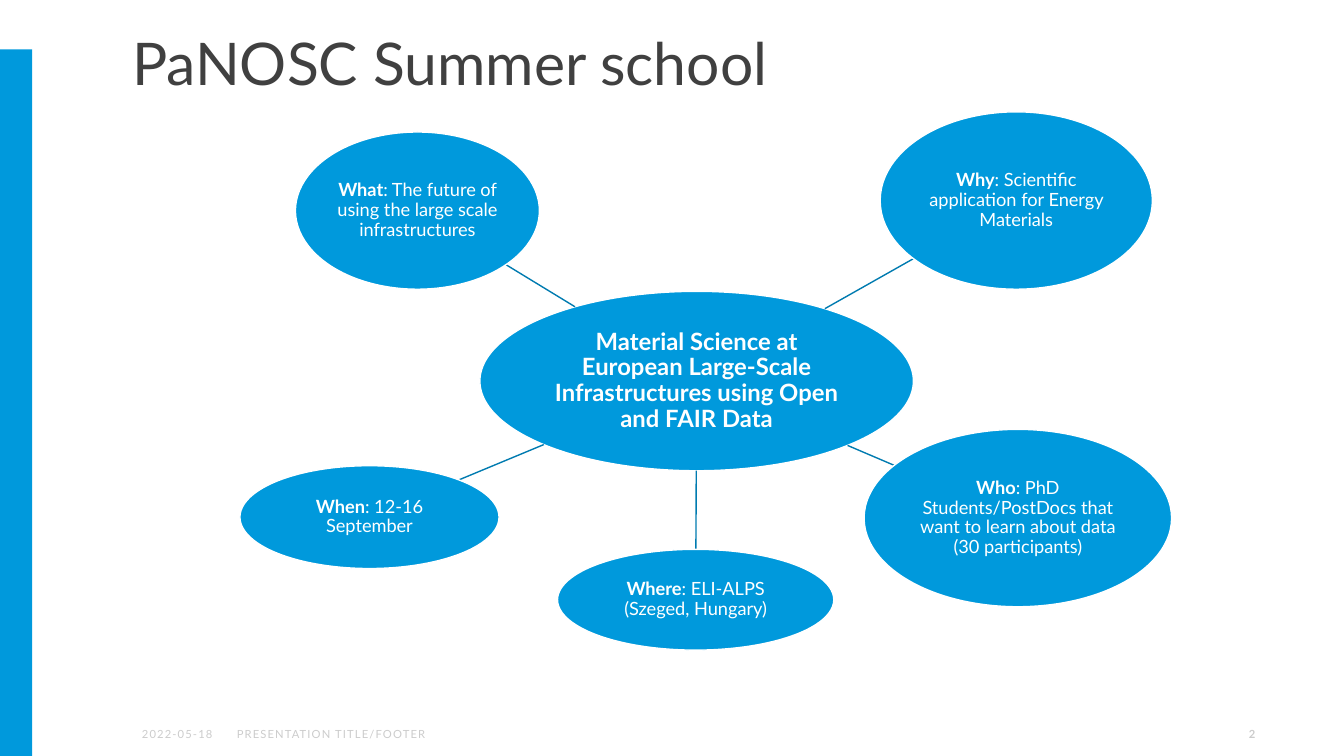
import math

import pptx
import pptx.dml.color
import pptx.enum.shapes
import pptx.enum.text
import pptx.oxml.ns
import pptx.util
from lxml import etree

Inches = pptx.util.Inches
Pt = pptx.util.Pt
RGBColor = pptx.dml.color.RGBColor
Align = pptx.enum.text.PP_ALIGN
Anchor = pptx.enum.text.MSO_ANCHOR
ShapeType = pptx.enum.shapes.MSO_SHAPE

BLUE = RGBColor(0x00, 0x99, 0xDC)
DARK_BLUE = RGBColor(0x00, 0x7B, 0xB0)
WHITE = RGBColor(0xFF, 0xFF, 0xFF)
DARK_GREY = RGBColor(0x40, 0x40, 0x40)
LIGHT_GREY = RGBColor(0xCC, 0xCC, 0xCC)
FONT = "Lato"

# Ellipses: left, top, width, height
HUB = (4.76, 2.89, 4.3, 1.78)
HUB_TEXT = "Material Science at European Large-Scale Infrastructures using Open and FAIR Data"
TOPICS = [
    ("When", ": 12-16 September", (2.38, 4.62, 2.57, 1.02)),
    ("Where", ": ELI-ALPS (Szeged, Hungary)", (5.53, 5.45, 2.74, 1)),
    ("Who", ": PhD Students/PostDocs that want to learn about data (30 participants)",
     (8.57, 4.26, 3.05, 1.76)),
    ("What", ": The future of using the large scale infrastructures",
     (2.93, 1.31, 2.42, 1.56)),
    ("Why", ": Scientific application for Energy Materials", (8.73, 1.11, 2.7, 1.76)),
]


def inches(box):
    return [Inches(length) for length in box]


def format_run(run, size, color, bold=False):
    run.font.name = FONT
    run.font.size = Pt(size)
    run.font.bold = bold
    run.font.color.rgb = color


def set_margins(text_frame, left, top, right, bottom):
    text_frame.margin_left = Inches(left)
    text_frame.margin_top = Inches(top)
    text_frame.margin_right = Inches(right)
    text_frame.margin_bottom = Inches(bottom)


def add_filled_shape(slide, kind, box):
    shape = slide.shapes.add_shape(kind, *inches(box))
    shape.shadow.inherit = False
    shape.fill.solid()
    shape.fill.fore_color.rgb = BLUE
    shape.line.fill.background()
    return shape


def set_title(slide, text):
    title = slide.shapes.title
    title.left, title.top, title.width, title.height = inches((1.21, 0.29, 10.24, 0.72))
    text_frame = title.text_frame
    text_frame.text = text
    text_frame.word_wrap = True
    text_frame.auto_size = pptx.enum.text.MSO_AUTO_SIZE.NONE
    text_frame.vertical_anchor = Anchor.TOP
    set_margins(text_frame, 0.1, 0.05, 0.1, 0.02)
    paragraph = text_frame.paragraphs[0]
    paragraph.alignment = Align.LEFT
    paragraph.line_spacing = 0.9
    format_run(paragraph.runs[0], 42, DARK_GREY)


def add_footer(slide, text, left, width, alignment=Align.LEFT, bold=False, spacing=0):
    text_box = slide.shapes.add_textbox(*inches((left, 7.08, width, 0.4)))
    text_frame = text_box.text_frame
    text_frame.text = text
    text_frame.word_wrap = True
    text_frame.vertical_anchor = Anchor.MIDDLE
    paragraph = text_frame.paragraphs[0]
    paragraph.alignment = alignment
    run = paragraph.runs[0]
    format_run(run, 8, LIGHT_GREY, bold)
    if spacing:
        run.font._element.set("spc", str(round(spacing * 100)))


def add_bubble(slide, box, bold_text, plain_text="", size=13):
    bubble = add_filled_shape(slide, ShapeType.OVAL, box)
    bubble.line.color.rgb = WHITE
    bubble.line.width = Pt(1)
    text_frame = bubble.text_frame
    text_frame.text = bold_text
    text_frame.word_wrap = True
    text_frame.vertical_anchor = Anchor.MIDDLE
    set_margins(text_frame, 0.01, 0.01, 0.01, 0.01)
    paragraph = text_frame.paragraphs[0]
    paragraph.alignment = Align.CENTER
    paragraph.line_spacing = 0.9
    format_run(paragraph.runs[0], size, WHITE, bold=True)
    if plain_text:
        run = paragraph.add_run()
        run.text = plain_text
        format_run(run, size, WHITE)


def center(box):
    left, top, width, height = box
    return left + width / 2, top + height / 2


def edge_point(box, target):
    """Point where the ray from the ellipse's center to the target leaves the ellipse."""
    x, y = center(box)
    dx, dy = target[0] - x, target[1] - y
    scale = 1 / math.hypot(dx / (box[2] / 2), dy / (box[3] / 2))
    return x + dx * scale, y + dy * scale


def add_spoke(slide, hub, topic):
    start = edge_point(hub, center(topic))
    end = edge_point(topic, center(hub))
    spoke = slide.shapes.add_connector(
        pptx.enum.shapes.MSO_CONNECTOR.STRAIGHT, *inches(start + end))
    spoke.line.color.rgb = DARK_BLUE
    spoke.line.width = Pt(1)
    etree.SubElement(spoke._element.spPr, pptx.oxml.ns.qn("a:effectLst"))


def main():
    presentation = pptx.Presentation()
    presentation.slide_width = Inches(13.33)
    presentation.slide_height = Inches(7.5)
    slide = presentation.slides.add_slide(presentation.slide_layouts[5])

    # Side bar and title
    add_filled_shape(slide, ShapeType.RECTANGLE, (0, 0.49, 0.32, 7.01))
    set_title(slide, "PaNOSC Summer school")

    # Footer
    add_footer(slide, "2022-05-18", 1.31, 0.91, spacing=0.8)
    add_footer(slide, "PRESENTATION TITLE/FOOTER", 2.25, 4.72, spacing=0.8)
    add_footer(slide, "2", 9.55, 3, Align.RIGHT, bold=True)

    # Hub with its topics
    add_bubble(slide, HUB, HUB_TEXT, size=17)
    for name, detail, box in TOPICS:
        add_spoke(slide, HUB, box)
        add_bubble(slide, box, name, detail)

    presentation.save("out.pptx")


if __name__ == "__main__":
    main()
